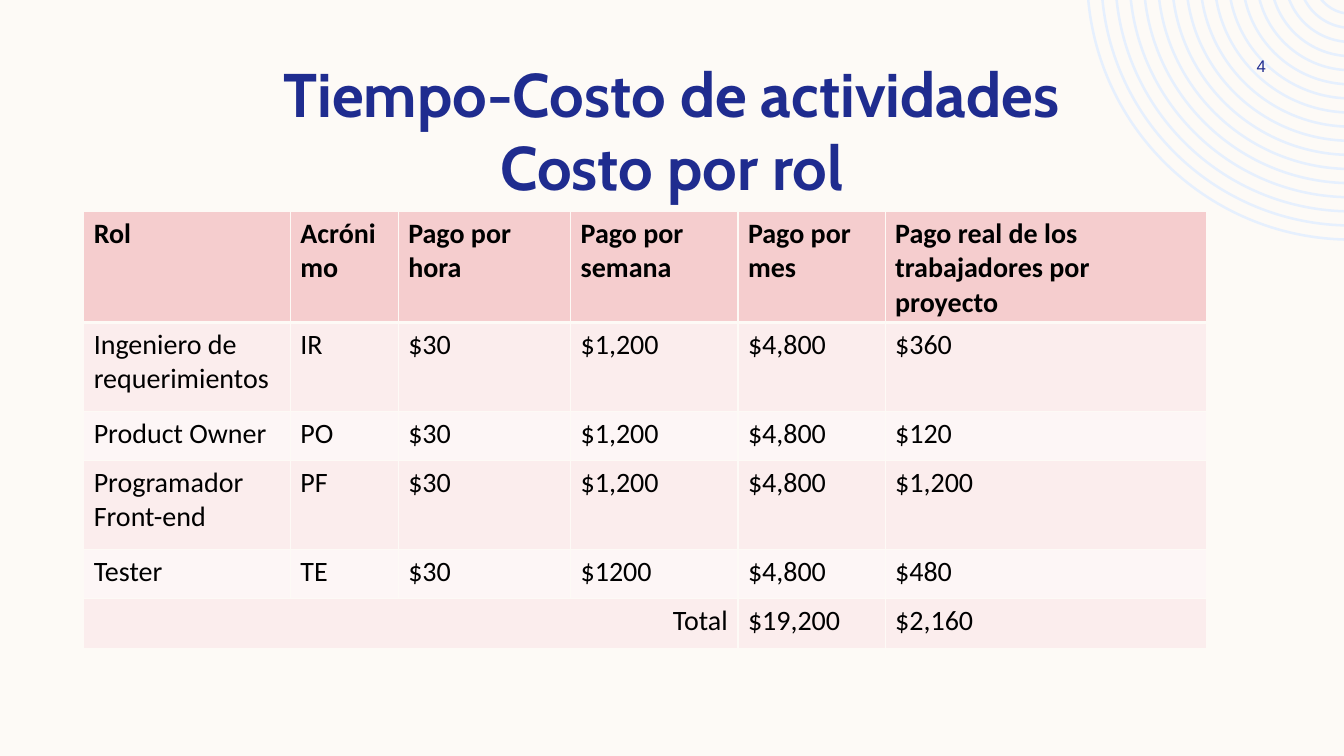
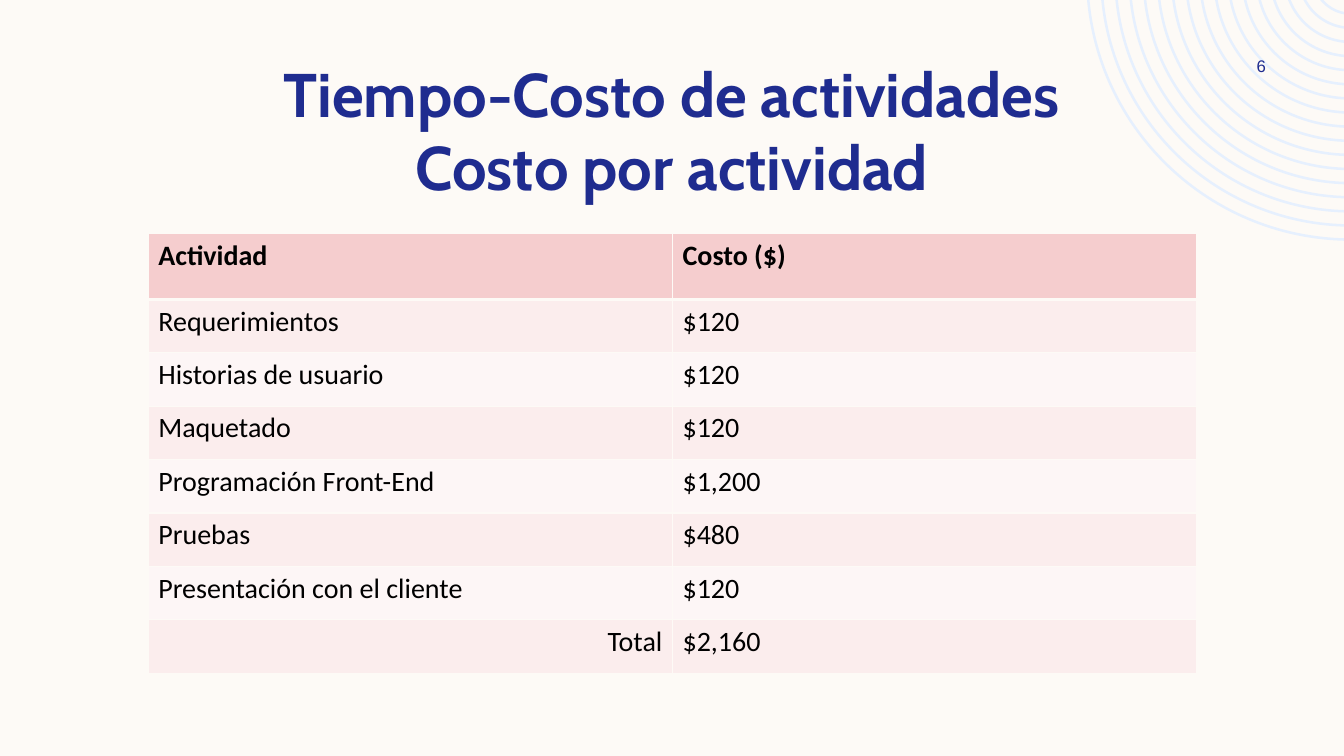
from math import asin, acos, cos, sin, tan
from lxml.etree import SubElement as Sub
from pptx import Presentation
from pptx.dml.color import RGBColor as RGB
from pptx.enum.text import MSO_ANCHOR as Anchor, MSO_AUTO_SIZE as Fit, PP_ALIGN as Align
from pptx.oxml import parse_xml
from pptx.oxml.ns import nsdecls, qn
from pptx.util import Inches, Pt

HUES = {
    "paper": "FDFAF6", "navy": "1F2C8F", "ring": "E6F0FE", "ink": "000000",
    "head": "F5CDCE", "odd": "FBEDED", "even": "FDF6F6",
}
WIDE, HIGH = 13.33, 7.5


def hue(name):
    return RGB.from_string(HUES[name])


def add_run(para, text, size, font, color, bold=False):
    run = para.add_run()
    run.text = text
    face = run.font
    face.size, face.name, face.bold = Pt(size), font, bold
    face.color.rgb = hue(color)


def place(shape, box):
    shape.left, shape.top, shape.width, shape.height = map(Inches, box)


# Corner rings, drawn once and kept on the layout
def arc(mid, rad):
    """Four curve points of a circle, from the top to the right slide edge."""
    x, y = mid
    start, end = asin(-y / rad), acos((x - WIDE) / rad)
    pull = 4 / 3 * tan((end - start) / 4)
    spots = []
    for turn, lean in ((start, 0), (start, pull), (end, -pull), (end, 0)):
        left = x - rad * (cos(turn) - lean * sin(turn))
        top = y + rad * (sin(turn) + lean * cos(turn))
        spots.append((Inches(left), Inches(top)))
    return spots


def bend(path):
    """Turn each arc's three line steps into one curve; the fourth joins arcs."""
    steps = path.findall(qn("a:lnTo"))
    for i in range(0, len(steps), 7):
        for trio in (steps[i:i + 3], steps[i + 4:i + 7]):
            curve = parse_xml(f'<a:cubicBezTo {nsdecls("a")}/>')
            trio[0].addprevious(curve)
            for step in trio:
                curve.append(step[0])
                path.remove(step)


def add_rings(slide, layout, mid=(13.4, -0.24), rad=2.63, gap=0.14, thick=0.025, count=17):
    pen = None
    for i in range(count):
        outer = rad - i * gap
        band = arc(mid, outer) + arc(mid, outer - thick)[::-1]
        if pen is None:
            pen = slide.shapes.build_freeform(*band[0])
        else:
            pen.move_to(*band[0])
        pen.add_line_segments(band[1:], close=True)
    rings = pen.convert_to_shape()
    bend(rings.element.find(".//" + qn("a:path")))
    rings.shadow.inherit = False
    rings.fill.solid()
    rings.fill.fore_color.rgb = hue("ring")
    rings.line.fill.background()
    rings.element.nvSpPr.cNvPr.set("id", "50")
    layout.shapes.element.insert(2, rings.element)


# Title and page number
def add_title(slide, lines, box=(0.83, 0.5, 11.67, 0.84)):
    title = slide.shapes.title
    place(title, box)
    frame = title.text_frame
    frame.word_wrap, frame.auto_size = True, Fit.NONE
    frame.vertical_anchor = Anchor.TOP
    para = frame.paragraphs[0]
    para.alignment = Align.CENTER
    for i, line in enumerate(lines):
        if i:
            para.add_line_break()
        add_run(para, line, 44, "Cabin", "navy", True)


def add_page(slide, num, box=(11.97, 0.5, 1.08, 0.3)):
    frame = slide.shapes.add_textbox(*map(Inches, box)).text_frame
    frame.word_wrap = True
    frame.vertical_anchor = Anchor.MIDDLE
    para = frame.paragraphs[0]
    para.alignment = Align.CENTER
    add_run(para, str(num), 12, "Arial", "navy")


# Table
def add_edges(cell, top, low):
    props = cell._tc.get_or_add_tcPr()
    for i, (side, size) in enumerate(zip("LRTB", (1, 1, top, low))):
        edge = parse_xml(f'<a:ln{side} {nsdecls("a")} w="{Pt(size)}"/>')
        fill = Sub(edge, qn("a:solidFill"))
        Sub(fill, qn("a:srgbClr"), val=HUES["paper"])
        props.insert(i, edge)


def add_grid(slide, spot, cols, highs, rows):
    """A None cell joins the cell on its left."""
    box = (*spot, sum(cols), sum(highs))
    grid = slide.shapes.add_table(len(rows), len(cols), *map(Inches, box)).table
    for col, wide in zip(grid.columns, cols):
        col.width = Inches(wide)
    for r, row in enumerate(rows):
        grid.rows[r].height = Inches(highs[r])
        for c, text in enumerate(row):
            cell = grid.cell(r, c)
            cell.fill.solid()
            cell.fill.fore_color.rgb = hue("head" if r == 0 else "odd" if r % 2 else "even")
            add_edges(cell, 3 if r == 1 else 1, 3 if r == 0 else 1)
            if text is None:
                continue
            para = cell.text_frame.paragraphs[0]
            para.alignment = Align.RIGHT if text == "Total" else Align.LEFT
            add_run(para, text, 20, "Calibri", "ink", r == 0)
        if None in row:
            first = row.index(None) - 1
            grid.cell(r, first).merge(grid.cell(r, first + row.count(None)))


def add_cost(deck, layout, topic, num, **grid):
    slide = deck.slides.add_slide(layout)
    add_title(slide, ("Tiempo-Costo de actividades", topic))
    add_page(slide, num)
    add_grid(slide, **grid)
    return slide


deck = Presentation()
deck.slide_width, deck.slide_height = Inches(WIDE), Inches(HIGH)
layout = deck.slide_layouts[5]
layout.background.fill.solid()
layout.background.fill.fore_color.rgb = hue("paper")

# Cost by role
roles = add_cost(
    deck, layout, "Costo por rol", 4,
    spot=(0.83, 2.1),
    cols=(2.05, 1.07, 1.71, 1.66, 1.46, 3.19),
    highs=(1.1, 0.88, 0.49, 0.88, 0.49, 0.49),
    rows=(
        ("Rol", "Acrónimo", "Pago por hora", "Pago por semana", "Pago por mes",
         "Pago real de los trabajadores por proyecto"),
        ("Ingeniero de requerimientos", "IR", "$30", "$1,200", "$4,800", "$360"),
        ("Product Owner", "PO", "$30", "$1,200", "$4,800", "$120"),
        ("Programador Front-end", "PF", "$30", "$1,200", "$4,800", "$1,200"),
        ("Tester", "TE", "$30", "$1200", "$4,800", "$480"),
        ("Total", None, None, None, "$19,200", "$2,160"),
    ),
)
add_rings(roles, layout)

# Cost by activity
add_cost(
    deck, layout, "Costo por actividad", 6,
    spot=(1.47, 2.32),
    cols=(5.2, 5.2),
    highs=(0.65,) + (0.53,) * 7,
    rows=(
        ("Actividad", "Costo ($)"),
        ("Requerimientos", "$120"),
        ("Historias de usuario", "$120"),
        ("Maquetado", "$120"),
        ("Programación Front-End", "$1,200"),
        ("Pruebas", "$480"),
        ("Presentación con el cliente", "$120"),
        ("Total", "$2,160"),
    ),
)

deck.save("out.pptx")
